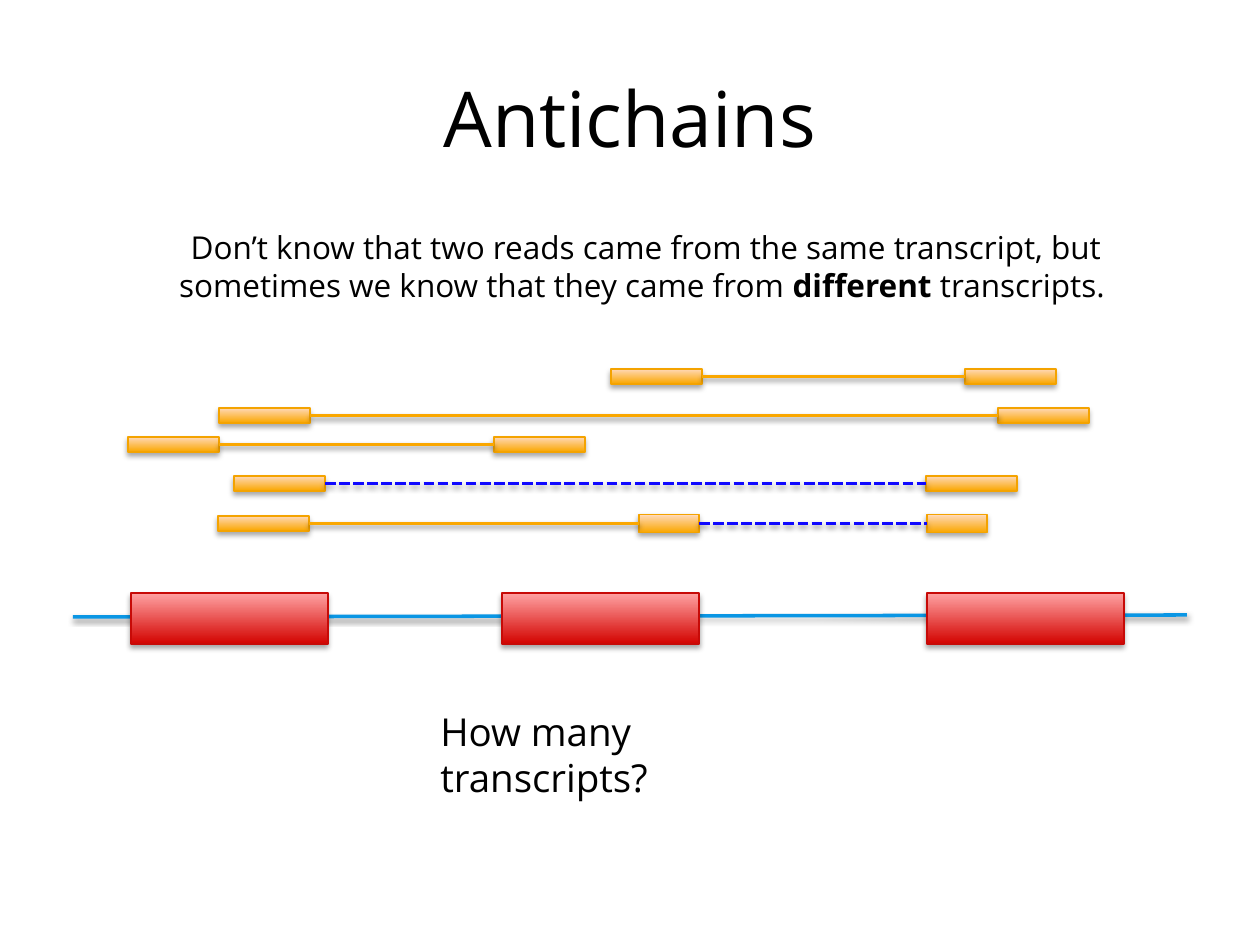
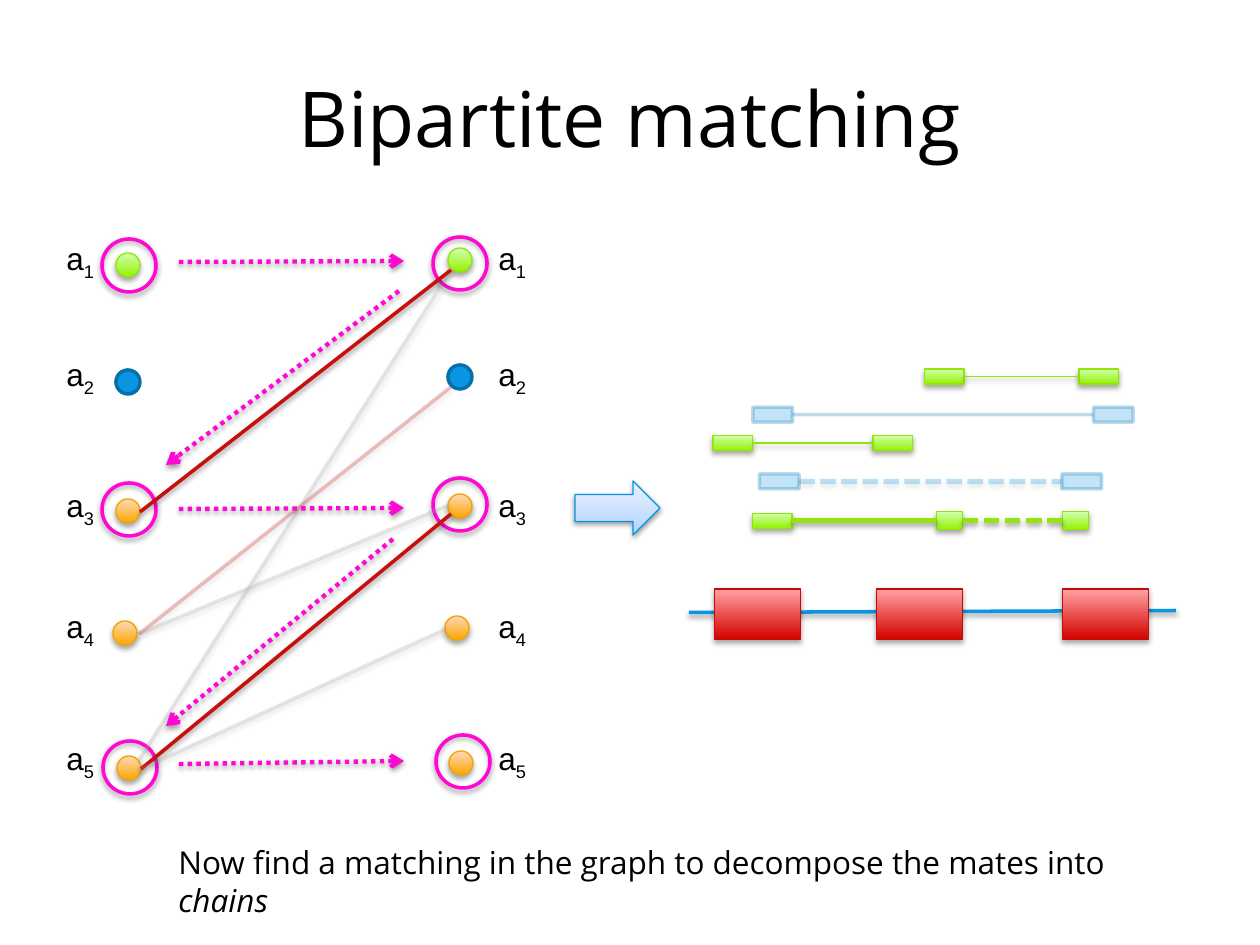
from lxml import etree
from pptx import Presentation
from pptx.dml.color import RGBColor
from pptx.enum.dml import MSO_LINE
from pptx.enum.shapes import MSO_CONNECTOR, MSO_SHAPE
from pptx.enum.text import MSO_ANCHOR, MSO_AUTO_SIZE, PP_ALIGN
from pptx.oxml.ns import qn
from pptx.util import Emu, Pt

RECTANGLE, ELLIPSE, RIGHT_ARROW = MSO_SHAPE.RECTANGLE, MSO_SHAPE.OVAL, MSO_SHAPE.RIGHT_ARROW
STRAIGHT = MSO_CONNECTOR.STRAIGHT
DASHED, DOTTED = MSO_LINE.SQUARE_DOT, MSO_LINE.ROUND_DOT
LEFT, CENTER = PP_ALIGN.LEFT, PP_ALIGN.CENTER
TOP, MIDDLE = MSO_ANCHOR.TOP, MSO_ANCHOR.MIDDLE
FIT_SHAPE, NO_FIT = MSO_AUTO_SIZE.SHAPE_TO_FIT_TEXT, MSO_AUTO_SIZE.NONE

EMU_PER_PIXEL = 914400 / 126
BODY_FONT, LABEL_FONT = "Open Sans", "Arial"

COLORS = {
    "text": "000000",
    "blue": "0A96E4",
    "blue_edge": "076FA9",
    "arrow_edge": "0494E4",
    "arrow_bottom": "B0D1FF",
    "arrow_middle": "C7DEFF",
    "arrow_top": "EAF2FF",
    "red": "D30300",
    "red_light": "FFA3A3",
    "red_edge": "C70A07",
    "red_link": "C70F0C",
    "orange": "FAA700",
    "orange_light": "FFD9BA",
    "orange_edge": "F4A300",
    "green": "96F200",
    "green_light": "D0FFB0",
    "green_edge": "91E507",
    "green_link": "93E50D",
    "unknown": "0F08FF",
    "grey": "A6A6A6",
    "magenta": "FF07D5",
}

SHAPE_SHADOW = {"alpha": 35, "distance": 1.8}
LINE_SHADOW = {"alpha": 38, "distance": 1.6}


def gradient_style(name):
    return dict(stops=[(0, name), (100, name + "_light")], line=name + "_edge",
                width=0.75, shadow=SHAPE_SHADOW)


RED, ORANGE, GREEN = map(gradient_style, ("red", "orange", "green"))
BLUE = dict(fill="blue", line="blue_edge", width=2)
FAINT_BLUE = dict(BLUE, alpha=25)
RING = dict(line="magenta", width=2, shadow=SHAPE_SHADOW)
BLOCK_ARROW = dict(stops=[(0, "arrow_bottom"), (35, "arrow_middle"), (100, "arrow_top")],
                   line="arrow_edge", width=0.75, shadow=LINE_SHADOW)

AXIS_LINE = dict(color="blue", width=2)
KNOWN_LINK = dict(color="orange", width=2)
UNKNOWN_LINK = dict(color="unknown", width=2, dash=DASHED)
THIN_LINK = dict(color="green_edge", width=0.75, shadow=SHAPE_SHADOW)
THICK_LINK = dict(color="green_link", width=3, shadow=SHAPE_SHADOW)
DASHED_LINK = dict(THICK_LINK, dash=DASHED)
FAINT_LINK = dict(color="blue_edge", width=2, alpha=25, shadow=None)
FAINT_DASHED_LINK = dict(color="blue", width=3, dash=DASHED, alpha=25, shadow=SHAPE_SHADOW)
EDGE = dict(color="grey", width=2, alpha=25)
MATCHED_EDGE = dict(color="red_link", width=2)
FAINT_MATCHED_EDGE = dict(MATCHED_EDGE, alpha=25)
PATH_ARROW = dict(color="magenta", width=2.5, dash=DOTTED, arrow=True)

DIAGRAM_WIDTH, DIAGRAM_HEIGHT = 1114, 275
READ_WIDTH, SHORT_READ_WIDTH = 91, 60
READ_HEIGHT, SHORT_READ_HEIGHT = 15, 18
READ_ROWS = [
    (0, [538, 892]),
    (39, [146, 925]),
    (68, [55, 421]),
    (107, [161, 853]),
    (147, [145, 566, 854]),
]
EXON_LEFTS, EXON_TOP, EXON_WIDTH, EXON_HEIGHT = [58, 429, 854], 224, 197, 51

ORANGE_READS = [(ORANGE, [KNOWN_LINK])] * 3 + [
    (ORANGE, [UNKNOWN_LINK]),
    (ORANGE, [KNOWN_LINK, UNKNOWN_LINK]),
]
CHAIN_READS = [
    (GREEN, [THIN_LINK]),
    (FAINT_BLUE, [FAINT_LINK]),
    (GREEN, [THIN_LINK]),
    (FAINT_BLUE, [FAINT_DASHED_LINK]),
    (GREEN, [THICK_LINK, DASHED_LINK]),
]

NODE_SIZE, RING_WIDTH, RING_HEIGHT = 24, 54, 53
COLUMN_GAP, COLUMN_RISE, LABEL_GAP = 332, 5, 432
NODES = [
    (0, (62, 20), GREEN),
    (116, (62, 137), BLUE),
    (247, (62, 266), ORANGE),
    (368, (59, 388), ORANGE),
    (500, (63, 523), ORANGE),
]
RINGS = [(48, 6), (379, 4), (48, 250), (379, 245), (49, 508), (382, 502)]
GRAPH_LINES = [
    ((85, 401), (395, 272), EDGE),
    ((87, 536), (397, 281), MATCHED_EDGE),
    ((85, 527), (397, 37), EDGE),
    ((85, 401), (397, 154), FAINT_MATCHED_EDGE),
    ((86, 279), (397, 37), MATCHED_EDGE),
    ((87, 536), (392, 396), EDGE),
    ((125, 29), (350, 28), PATH_ARROW),
    ((345, 58), (112, 232), PATH_ARROW),
    ((125, 276), (350, 275), PATH_ARROW),
    ((125, 531), (350, 528), PATH_ARROW),
    ((339, 306), (112, 493), PATH_ARROW),
]


def pixels(*values):
    return [Emu(round(value * EMU_PER_PIXEL)) for value in values]


def rgb(name):
    return RGBColor.from_string(COLORS[name])


def add_node(parent, tag, **attributes):
    return etree.SubElement(parent, qn(tag), {key: str(value) for key, value in attributes.items()})


def set_alpha(element, percent):
    for color in element.iter(qn("a:srgbClr")):
        add_node(color, "a:alpha", val=percent * 1000)


def set_gradient(shape, stops):
    shape.fill.gradient()
    shape.fill.gradient_angle = 90
    stop_list = shape.element.spPr.find(".//" + qn("a:gsLst"))
    for stop in list(stop_list):
        stop_list.remove(stop)
    for position, name in stops:
        stop = add_node(stop_list, "a:gs", pos=position * 1000)
        add_node(stop, "a:srgbClr", val=COLORS[name])


def set_line(line, color, width):
    line.fill.solid()
    line.fill.fore_color.rgb = rgb(color)
    line.width = Pt(width)


def finish(shape, alpha, shadow):
    properties = shape.element.spPr
    if alpha:
        set_alpha(properties, alpha)
    effects = add_node(properties, "a:effectLst")
    if shadow:
        outer = add_node(effects, "a:outerShdw", blurRad=Pt(3.1), dist=Pt(shadow["distance"]),
                         dir=5400000, rotWithShape=0)
        add_node(outer, "a:srgbClr", val=COLORS["text"])
        set_alpha(outer, shadow["alpha"])


def add_box(slide, kind, box, line, width, fill=None, stops=None, alpha=None, shadow=None):
    shape = slide.shapes.add_shape(kind, *pixels(*box))
    if stops:
        set_gradient(shape, stops)
    elif fill:
        shape.fill.solid()
        shape.fill.fore_color.rgb = rgb(fill)
    else:
        shape.fill.background()
    set_line(shape.line, line, width)
    finish(shape, alpha, shadow)


def add_line(slide, start, end, color, width, dash=None, alpha=None, arrow=False, shadow=LINE_SHADOW):
    connector = slide.shapes.add_connector(STRAIGHT, *pixels(*start, *end))
    set_line(connector.line, color, width)
    if dash:
        connector.line.dash_style = dash
    if arrow:
        add_node(connector.element.spPr.find(qn("a:ln")), "a:tailEnd", type="arrow")
    finish(connector, alpha, shadow)


def add_text(slide, box, runs, size=18, font=BODY_FONT, align=LEFT, anchor=TOP, wrap=True, fit=FIT_SHAPE):
    frame = slide.shapes.add_textbox(*pixels(*box)).text_frame
    frame.word_wrap = wrap
    frame.auto_size = fit
    frame.vertical_anchor = anchor
    paragraph = frame.paragraphs[0]
    paragraph.alignment = align
    for text, style in runs:
        run = paragraph.add_run()
        run.text = text
        run.font.name = font
        run.font.size = Pt(size)
        run.font.color.rgb = rgb("text")
        run.font.bold = style == "bold"
        run.font.italic = style == "italic"
        if style == "subscript":
            run._r.get_or_add_rPr().set("baseline", "-25000")


def add_titled_slide(presentation, title):
    slide = presentation.slides.add_slide(presentation.slide_layouts[6])
    add_text(slide, (63, 38, 1134, 157), [(title, None)], size=44, align=CENTER, anchor=MIDDLE, fit=NO_FIT)
    return slide


def add_transcript(slide, box, row_styles):
    left, top, width, height = box
    scale_x, scale_y = width / DIAGRAM_WIDTH, height / DIAGRAM_HEIGHT

    def place(x, y):
        return left + x * scale_x, top + y * scale_y

    add_line(slide, place(0, 248), place(DIAGRAM_WIDTH, 246), **AXIS_LINE)
    for x in EXON_LEFTS:
        exon = (*place(x, EXON_TOP), EXON_WIDTH * scale_x, EXON_HEIGHT * scale_y)
        add_box(slide, RECTANGLE, exon, **RED)
    for (y, lefts), (read_style, link_styles) in zip(READ_ROWS, row_styles):
        reads = [(x, READ_WIDTH, READ_HEIGHT) for x in lefts[:2]]
        if len(lefts) == 3:
            reads[1:] = [(x, SHORT_READ_WIDTH, SHORT_READ_HEIGHT) for x in lefts[1:]]
        middle = y + READ_HEIGHT / 2
        for x, read_width, read_height in reads:
            corner = place(x, middle - read_height / 2)
            add_box(slide, RECTANGLE, (*corner, read_width * scale_x, read_height), **read_style)
        for first, second, style in zip(reads, reads[1:], link_styles):
            add_line(slide, place(first[0] + first[1], middle), place(second[0], middle), **style)


def add_matching_graph(slide, left, top):
    for number, (label_y, _, _) in enumerate(NODES, 1):
        for x in (0, LABEL_GAP):
            add_text(slide, (left + x, top + label_y, 55, 50),
                     [("a", None), (str(number), "subscript")], font=LABEL_FONT, wrap=False)
    for x, y in RINGS:
        add_box(slide, ELLIPSE, (left + x, top + y, RING_WIDTH, RING_HEIGHT), **RING)
    for shift_x, shift_y in ((0, 0), (COLUMN_GAP, -COLUMN_RISE)):
        for _, (x, y), style in NODES:
            node = (left + x + shift_x, top + y + shift_y, NODE_SIZE, NODE_SIZE)
            add_box(slide, ELLIPSE, node, **style)
    for (start_x, start_y), (end_x, end_y), style in GRAPH_LINES:
        add_line(slide, (left + start_x, top + start_y), (left + end_x, top + end_y), **style)


def build_antichains(presentation):
    slide = add_titled_slide(presentation, "Antichains")
    add_text(slide, (121, 222, 1050, 89), [
        ("Don’t know that two reads came from the same transcript, but "
         "sometimes we know that they came from ", None),
        ("different ", "bold"),
        ("transcripts. ", None),
    ], align=CENTER)
    add_transcript(slide, (73, 369, 1114, 275), ORANGE_READS)
    add_text(slide, (428, 702, 404, 59), [("How many transcripts?", None)], size=22)


def build_matching(presentation):
    slide = add_titled_slide(presentation, "Bipartite matching")
    add_transcript(slide, (689, 369, 487, 270), CHAIN_READS)
    add_text(slide, (166, 837, 985, 50), [
        ("Now find a matching in the graph to decompose the mates into ", None),
        ("chains", "italic"),
    ])
    add_box(slide, RIGHT_ARROW, (575, 481, 85, 54), **BLOCK_ARROW)
    add_matching_graph(slide, 54, 233)


presentation = Presentation()
presentation.slide_width, presentation.slide_height = pixels(1260, 945)
build_antichains(presentation)
build_matching(presentation)
presentation.save("out.pptx")
